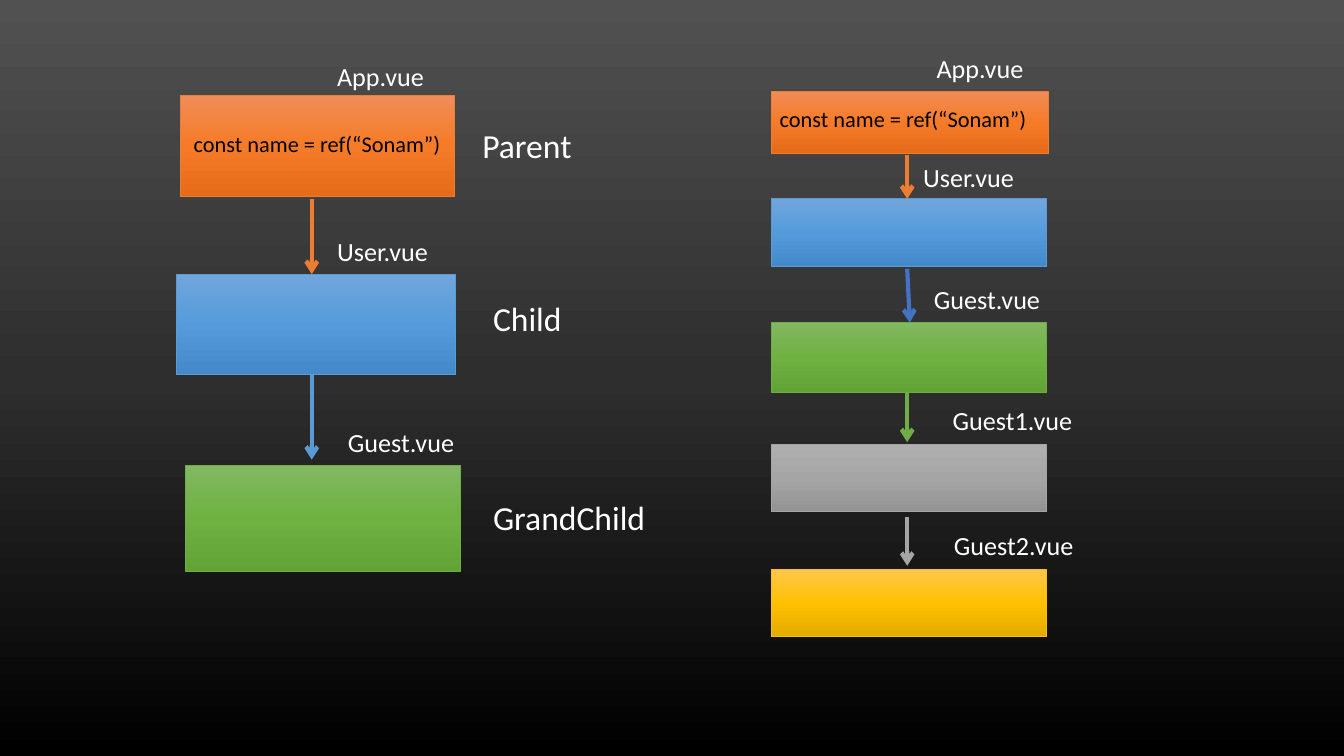
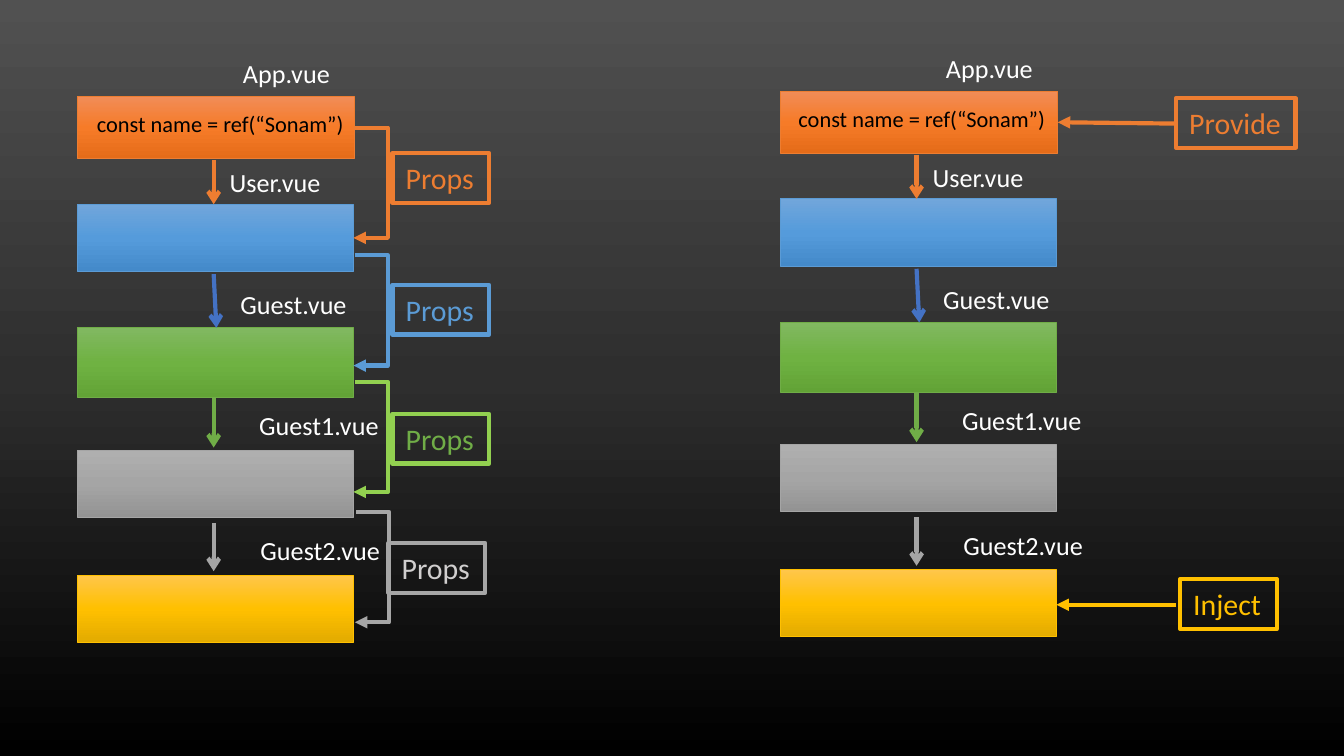
from collections import namedtuple
from copy import deepcopy

from pptx import Presentation
from pptx.dml.color import RGBColor
from pptx.enum.shapes import MSO_CONNECTOR, MSO_SHAPE
from pptx.enum.text import MSO_AUTO_SIZE, PP_ALIGN
from pptx.oxml.ns import qn
from pptx.oxml.xmlchemy import OxmlElement
from pptx.util import Inches, Pt

FONT = "Calibri"
WHITE = RGBColor(0xFF, 0xFF, 0xFF)
BLACK = RGBColor(0x00, 0x00, 0x00)
ORANGE = RGBColor(0xED, 0x7D, 0x31)
BLUE = RGBColor(0x5B, 0x9B, 0xD5)
DARK_BLUE = RGBColor(0x44, 0x72, 0xC4)
GREEN = RGBColor(0x70, 0xAD, 0x47)
LIME = RGBColor(0x92, 0xD0, 0x50)
GRAY = RGBColor(0xA5, 0xA5, 0xA5)
MID_GRAY = RGBColor(0xA6, 0xA6, 0xA6)
PALE_GRAY = RGBColor(0xD0, 0xCE, 0xCE)
GOLD = RGBColor(0xFF, 0xC0, 0x00)

BACKDROP = (RGBColor(0x51, 0x51, 0x51), RGBColor(0x2E, 0x2E, 0x2E), BLACK)
GRADIENTS = {
    ORANGE: (RGBColor(0xF1, 0x8C, 0x57), RGBColor(0xF6, 0x7B, 0x28), RGBColor(0xE5, 0x6C, 0x19)),
    BLUE: (RGBColor(0x71, 0xA6, 0xDB), RGBColor(0x55, 0x9B, 0xDB), RGBColor(0x44, 0x8A, 0xCA)),
    GREEN: (RGBColor(0x81, 0xB8, 0x61), RGBColor(0x6F, 0xB2, 0x42), RGBColor(0x62, 0xA3, 0x36)),
    GRAY: (RGBColor(0xAF, 0xAF, 0xAF), GRAY, RGBColor(0x93, 0x93, 0x93)),
    GOLD: (RGBColor(0xFF, 0xC6, 0x4B), GOLD, RGBColor(0xE3, 0xAB, 0x00)),
}

STATE = "const name = ref(“Sonam”)"
LABEL_H = 0.34
ELBOW_REACH = 0.25
ELBOW_W = 0.01

# Lefts are measured from the chain's left edge, tops from the slide's top.
Component = namedtuple("Component", "name color top width height label_left label_width label_top")
CHAIN = [
    Component("App.vue", ORANGE, 0.68, 2.06, 0.46, 1.13, 0.86, 0.34),
    Component("User.vue", BLUE, 1.48, 2.05, 0.5, 1.03, 0.88, 1.15),
    Component("Guest.vue", GREEN, 2.4, 2.05, 0.52, 1.11, 1, 2.06),
    Component("Guest1.vue", GRAY, 3.31, 2.05, 0.5, 1.25, 1.1, 2.96),
    Component("Guest2.vue", GOLD, 4.24, 2.05, 0.5, 1.26, 1.1, 3.89),
]
CHAIN_ARROWS = [  # start top, end top, sideways drift, color
    (1.15, 1.48, 0, ORANGE),
    (2, 2.4, 0.02, DARK_BLUE),
    (2.92, 3.29, 0, GREEN),
    (3.85, 4.21, 0, GRAY),
]


def fill_gradient(fill, owner, colors):
    """Fill from top to bottom with three evenly spaced colours."""
    fill.gradient()
    fill.gradient_angle = 270
    stops = next(owner.iter(qn("a:gsLst")))
    stops.append(deepcopy(stops[-1]))
    for stop, color, position in zip(fill.gradient_stops, colors, (0, 0.5, 1)):
        stop.color.rgb = color
        stop.position = position


class Deck:
    def __init__(self):
        self.prs = Presentation()
        self.prs.slide_width = Inches(10)
        self.prs.slide_height = Inches(10) * 9 // 16
        master = self.prs.slide_master
        fill_gradient(master.background.fill, master.element, BACKDROP)
        self.slide = None

    def new_slide(self):
        self.slide = self.prs.slides.add_slide(self.prs.slide_layouts[6])

    def box(self, left, top, width, height, color):
        sp = self.slide.shapes.add_shape(
            MSO_SHAPE.RECTANGLE, Inches(left), Inches(top), Inches(width), Inches(height))
        sp.shadow.inherit = False
        fill_gradient(sp.fill, sp.element, GRADIENTS[color])
        sp.line.color.rgb = color
        sp.line.width = Pt(0.5)

    def text(self, text, left, top, width, height=LABEL_H, size=14, color=WHITE,
             align=PP_ALIGN.LEFT):
        sp = self.slide.shapes.add_textbox(
            Inches(left), Inches(top), Inches(width), Inches(height))
        tf = sp.text_frame
        tf.word_wrap = False
        tf.auto_size = MSO_AUTO_SIZE.SHAPE_TO_FIT_TEXT
        p = tf.paragraphs[0]
        p.alignment = align
        r = p.add_run()
        r.text = text
        r.font.name = FONT
        r.font.size = Pt(size)
        r.font.color.rgb = color
        return sp

    def state(self, left, top):
        self.text(STATE, left, top, 2.06, 0.3, 12, BLACK, PP_ALIGN.CENTER)

    def tag(self, text, left, top, width, color, text_color=None):
        sp = self.text(text, left, top, width, 0.37, 16, text_color or color)
        sp.line.color.rgb = color
        sp.line.width = Pt(2.25)

    def arrow(self, x1, y1, x2, y2, color, head="arrow", kind=MSO_CONNECTOR.STRAIGHT):
        cx = self.slide.shapes.add_connector(
            kind, Inches(x1), Inches(y1), Inches(x2), Inches(y2))
        cx.line.color.rgb = color
        cx.line.width = Pt(2.25)
        tail = OxmlElement("a:tailEnd")
        tail.set("type", head)
        cx.line._get_or_add_ln().append(tail)
        cx.element.spPr.append(OxmlElement("a:effectLst"))
        return cx

    def elbow(self, x, y1, y2, color):
        """Draw an arrow that leaves to the right and returns lower down."""
        cx = self.arrow(x, y1, x - ELBOW_W, y2, color, "triangle", MSO_CONNECTOR.ELBOW)
        geom = cx.element.spPr.find(qn("a:prstGeom"))
        guide = OxmlElement("a:gd")
        guide.set("name", "adj1")
        guide.set("fmla", f"val {round(-ELBOW_REACH / ELBOW_W * 100000)}")
        geom.get_or_add_avLst().append(guide)

    def chain(self, left, state_shift, drop=0):
        """Draw the five components and the arrows that join them."""
        for c in CHAIN:
            self.box(left, c.top + drop, c.width, c.height, c.color)
            self.text(c.name, left + c.label_left, c.label_top + drop, c.label_width)
        self.state(left + state_shift, 0.73 + drop)
        x = left + 1.01
        for y1, y2, drift, color in CHAIN_ARROWS:
            self.arrow(x, y1 + drop, x + drift, y2 + drop, color)


def build_family_slide(deck):
    deck.new_slide()
    deck.box(1.34, 0.71, 2.04, 0.75, ORANGE)
    deck.box(1.31, 2.04, 2.08, 0.75, BLUE)
    deck.box(1.38, 3.46, 2.05, 0.79, GREEN)
    deck.state(1.33, 0.92)
    deck.arrow(2.32, 1.48, 2.32, 2.04, ORANGE)
    deck.arrow(2.32, 2.79, 2.32, 3.42, BLUE)
    for name, left, top, width in (("App.vue", 2.41, 0.4, 0.86),
                                   ("User.vue", 2.41, 1.7, 0.88),
                                   ("Guest.vue", 2.49, 3.12, 1)):
        deck.text(name, left, top, width)
    for role, left, top, width in (("Parent", 3.49, 0.88, 0.87),
                                   ("Child", 3.57, 2.17, 0.72),
                                   ("GrandChild", 3.57, 3.65, 1.35)):
        deck.text(role, left, top, width, 0.4, 18)
    deck.chain(5.74, -0.05)


def build_props_slide(deck):
    deck.new_slide()
    deck.chain(0.58, 0.03, drop=0.04)
    deck.chain(5.81, 0.02)

    deck.tag("Provide", 8.75, 0.73, 0.89, ORANGE)
    deck.arrow(8.75, 0.92, 7.87, 0.91, ORANGE, "triangle")
    deck.tag("Inject", 8.78, 4.31, 0.72, GOLD)
    deck.arrow(8.75, 4.5, 7.86, 4.5, GOLD, "triangle")

    props = [  # elbow left and top, tag left and top, line color, text color
        (2.64, 0.95, 2.92, 1.14, ORANGE, ORANGE),
        (2.64, 1.9, 2.92, 2.12, BLUE, BLUE),
        (2.64, 2.84, 2.92, 3.08, LIME, GREEN),
        (2.65, 3.81, 2.89, 4.04, MID_GRAY, PALE_GRAY),
    ]
    for x, y, tag_left, tag_top, color, text_color in props:
        deck.elbow(x, y, y + 0.82, color)
        deck.tag("Props", tag_left, tag_top, 0.72, color, text_color)


def main():
    deck = Deck()
    build_family_slide(deck)
    build_props_slide(deck)
    deck.prs.save("out.pptx")


if __name__ == "__main__":
    main()
